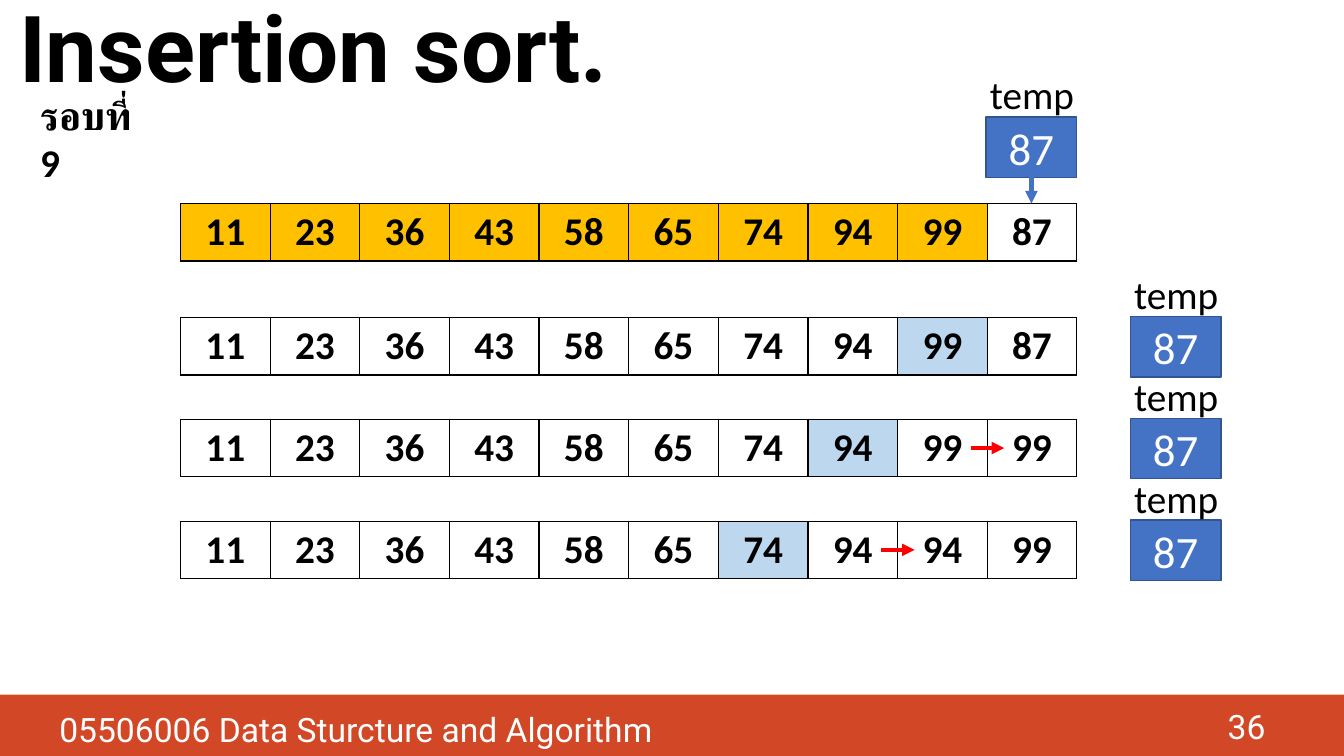
from lxml.etree import SubElement
from pptx import Presentation
from pptx.dml.color import RGBColor
from pptx.enum.shapes import MSO_CONNECTOR as Connector, MSO_SHAPE as Shape
from pptx.enum.text import MSO_ANCHOR as Anchor, PP_ALIGN as Align
from pptx.oxml import parse_xml
from pptx.oxml.ns import nsdecls, qn
from pptx.util import Inches, Pt

COLORS = {
    "black": "000000", "white": "FFFFFF", "footer": "D24726",
    "temp": "4472C4", "temp_edge": "325491",
    "sorted": "FFC000", "compared": "BDD7EE", "shift": "FF0000",
}
COLUMNS = 10
CELL_WIDTH, CELL_HEIGHT = 0.889, 0.57
ARRAY_LEFT = 1.79
TEMP_WIDTH, TEMP_HEIGHT = 0.9, 0.6


def rgb(name):
    return RGBColor.from_string(COLORS[name])


def write(frame, text, size, font="Calibri", color="black", bold=False,
          align=Align.LEFT, anchor=Anchor.MIDDLE):
    frame.text = text
    frame.word_wrap = True
    frame.vertical_anchor = anchor
    para = frame.paragraphs[0]
    para.alignment = align
    span = para.runs[0].font
    span.name, span.size, span.bold = font, Pt(size), bold
    span.color.rgb = rgb(color)
    return para


deck = Presentation()
deck.slide_width, deck.slide_height = Inches(13.33), Inches(7.5)
page = deck.slides.add_slide(deck.slide_layouts[6])
shapes = page.shapes

title = shapes.add_textbox(Inches(0.09), Inches(-0.11), Inches(12.28), Inches(1.27))
write(title.text_frame, "Insertion sort.", 66, "Roboto", bold=True).line_spacing = 0.9

footer = shapes.add_shape(Shape.RECTANGLE, 0, Inches(6.89), deck.slide_width, Inches(0.61))
footer.shadow.inherit = False
footer.fill.solid()
footer.fill.fore_color.rgb = rgb("footer")
footer.line.fill.background()

course = shapes.add_textbox(Inches(0.49), Inches(6.98), Inches(11.48), Inches(0.66))
write(course.text_frame, "05506006 Data Sturcture and Algorithm", 24, "Roboto", "white",
      anchor=Anchor.TOP)
number = shapes.add_textbox(Inches(9.65), Inches(7), Inches(3), Inches(0.4))
write(number.text_frame, "36", 24, "Roboto", "white", align=Align.RIGHT)
round_label = shapes.add_textbox(Inches(0.3), Inches(0.86), Inches(1.23), Inches(0.57))
write(round_label.text_frame, "รอบที่ 9", 28, bold=True, anchor=Anchor.TOP)

SORTED = [11, 23, 36, 43, 58, 65, 74]
steps = [
    (2.02, SORTED + [94, 99, 87], range(9), "sorted", 9.78, 1.16, None),
    (3.15, SORTED + [94, 99, 87], [8], "compared", 11.21, 3.14, None),
    (4.16, SORTED + [94, 99, 99], [7], "compared", 11.21, 4.15, 9),
    (5.17, SORTED + [94, 94, 99], [6], "compared", 11.21, 5.16, 8),
]
arrows = []
for top, values, marked, mark_color, temp_left, temp_top, shift_column in steps:
    array = shapes.add_table(1, COLUMNS, Inches(ARRAY_LEFT), Inches(top),
                             Inches(COLUMNS * CELL_WIDTH), Inches(CELL_HEIGHT)).table
    array.first_row = array.horz_banding = False
    for column, value in enumerate(values):
        cell = array.cell(0, column)
        write(cell.text_frame, str(value), 28, bold=True, align=Align.CENTER)
        cell.vertical_anchor = Anchor.MIDDLE
        cell.fill.solid()
        cell.fill.fore_color.rgb = rgb(mark_color if column in marked else "white")
        for order, side in enumerate("LRTB"):
            border = parse_xml(
                f'<a:ln{side} {nsdecls("a")} w="{Pt(1)}"><a:solidFill>'
                f'<a:srgbClr val="{COLORS["black"]}"/></a:solidFill></a:ln{side}>')
            cell._tc.get_or_add_tcPr().insert(order, border)

    temp = shapes.add_shape(Shape.RECTANGLE, Inches(temp_left), Inches(temp_top),
                            Inches(TEMP_WIDTH), Inches(TEMP_HEIGHT))
    temp.shadow.inherit = False
    temp.fill.solid()
    temp.fill.fore_color.rgb = rgb("temp")
    temp.line.color.rgb = rgb("temp_edge")
    temp.line.width = Pt(1)
    write(temp.text_frame, "87", 32, color="white", align=Align.CENTER)
    label = shapes.add_textbox(Inches(temp_left - 0.24), Inches(temp_top - 0.48),
                               Inches(1.39), Inches(0.51))
    write(label.text_frame, "temp", 28, align=Align.CENTER)

    if mark_color == "sorted":
        center = temp_left + TEMP_WIDTH / 2
        arrow = shapes.add_connector(Connector.STRAIGHT, Inches(center),
                                     Inches(temp_top + TEMP_HEIGHT), Inches(center), Inches(top))
        arrow.begin_connect(temp, 2)
        arrows.append((arrow, "temp"))
    if shift_column:
        start = ARRAY_LEFT + shift_column * CELL_WIDTH - 0.16
        middle = Inches(top + CELL_HEIGHT / 2)
        arrow = shapes.add_connector(Connector.STRAIGHT, Inches(start), middle,
                                     Inches(start + 0.33), middle)
        arrows.append((arrow, "shift"))

for arrow, color in arrows:
    arrow.line.color.rgb = rgb(color)
    arrow.line.width = Pt(3)
    SubElement(arrow.line._get_or_add_ln(), qn("a:tailEnd"), type="triangle")
    SubElement(arrow._element.spPr, qn("a:effectLst"))

deck.save("out.pptx")
